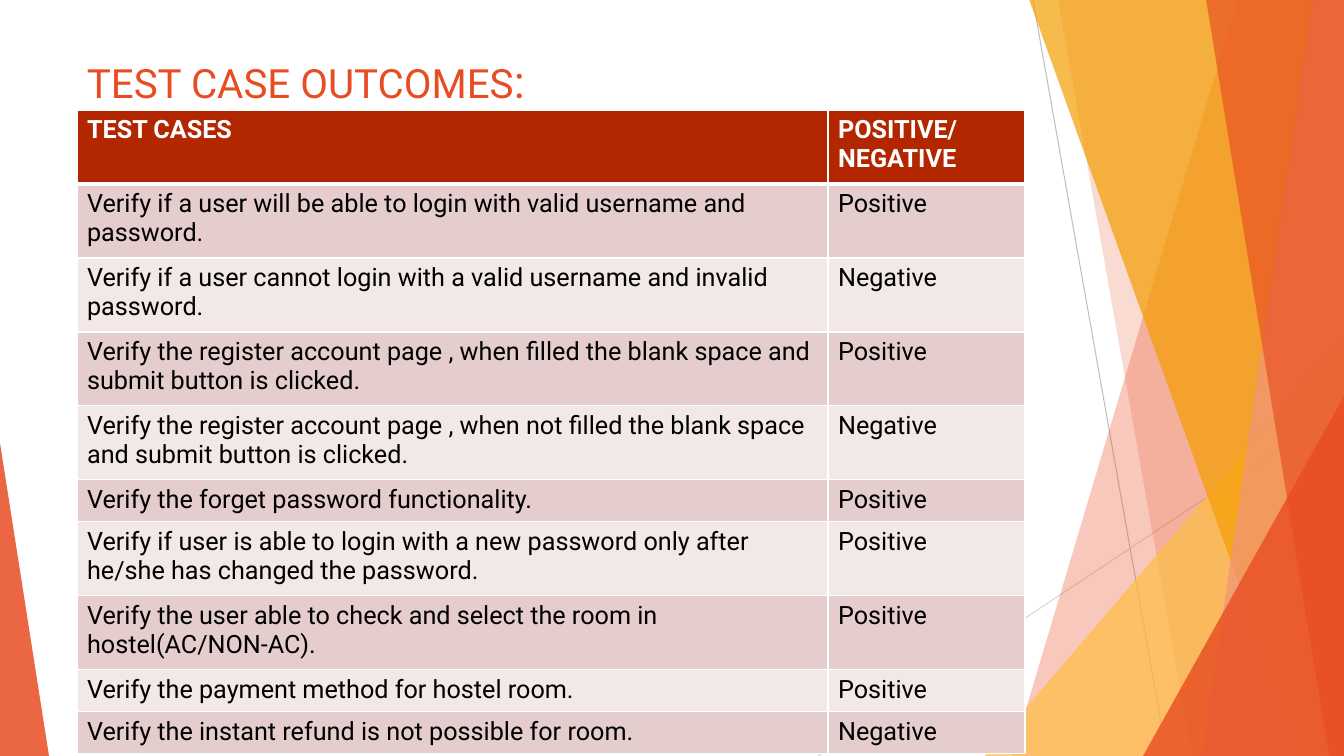
from lxml.etree import SubElement
from pptx import Presentation
from pptx.dml.color import RGBColor
from pptx.enum.shapes import MSO_CONNECTOR as Connector, MSO_SHAPE as Shape
from pptx.enum.text import MSO_ANCHOR as Anchor
from pptx.oxml.ns import qn
from pptx.util import Pt

SCALE = 914400 / 100.8
WIDTH, HEIGHT = 1344, 756
FONT = "Roboto"
ORANGE = "E84C22"
WHITE = "FFFFFF"
HEADER_FILL = "B22600"
BAND_FILLS = ("F2E8E7", "E4CDCC")
COLUMN_WIDTHS = (751, 197)
TALL_ROW, SHORT_ROW = 74, 42
LINES = [
    ((1033, 0), (1167, HEIGHT), "BFBFBF"),
    ((WIDTH, 406), (818, HEIGHT), "D9D9D9"),
]
BACK_BANDS = [(1238, 1012, ORANGE, 30), (1058, 1192, ORANGE, 20)]
FRONT_BANDS = [
    (1029, 1301, "F49D00", 70),
    (1313, 1202, "F1947A", 70),
    (1206, 1329, ORANGE, 65),
]
TEST_CASES = [
    ("Verify if a user will be able to login with valid username and password.", "Positive", TALL_ROW),
    ("Verify if a user cannot login with a valid username and invalid password.", "Negative", TALL_ROW),
    ("Verify the register account page , when filled the blank space and submit button is clicked.",
     "Positive", TALL_ROW),
    ("Verify the register account page , when not filled the blank space and submit button is clicked.",
     "Negative", TALL_ROW),
    ("Verify the forget password functionality.", "Positive", SHORT_ROW),
    ("Verify if user is able to login with a new password only after he/she has changed the password.",
     "Positive", TALL_ROW),
    ("Verify the user able to check and select the room in hostel(AC/NON-AC).", "Positive", TALL_ROW),
    ("Verify the payment method for hostel room.", "Positive", SHORT_ROW),
    ("Verify the instant refund is not possible for room.", "Negative", SHORT_ROW),
]


def px(length):
    """Turn pixels into EMU."""
    return round(length * SCALE)


def rgb(color):
    """Turn a hex string into a colour."""
    return RGBColor.from_string(color)


def style_span(span, size, color, bold=False):
    """Set the font of a run."""
    span.font.name = FONT
    span.font.size = Pt(size)
    span.font.bold = bold
    span.font.color.rgb = rgb(color)


def paint(shape, color, opacity):
    """Give a shape a translucent fill without outline or shadow."""
    shape.shadow.inherit = False
    shape.line.fill.background()
    shape.fill.solid()
    shape.fill.fore_color.rgb = rgb(color)
    tint = shape.fill._xPr.find(qn("a:solidFill"))[0]
    SubElement(tint, qn("a:alpha"), val=str(opacity * 1000))


def add_line(page, start, end, color):
    """Draw a thin straight line."""
    line = page.shapes.add_connector(Connector.STRAIGHT, *map(px, start + end))
    line.line.color.rgb = rgb(color)
    line.line.width = Pt(0.75)
    SubElement(line._element.spPr, qn("a:effectLst"))


def add_band(page, top_x, bottom_x, color, opacity):
    """Fill the area from a slanted edge to the right side of the page."""
    builder = page.shapes.build_freeform(px(top_x), px(-1))
    corners = [(WIDTH, -1), (WIDTH, HEIGHT), (bottom_x, HEIGHT)]
    builder.add_line_segments([(px(x), px(y)) for x, y in corners])
    paint(builder.convert_to_shape(), color, opacity)


def add_triangle(page, left, top, width, apex, color, opacity):
    """Draw a right triangle standing on the bottom of the page."""
    box = (left, top, width, HEIGHT - top)
    triangle = page.shapes.add_shape(Shape.ISOSCELES_TRIANGLE, *map(px, box))
    triangle.adjustments[0] = apex
    paint(triangle, color, opacity)


def add_title(page):
    """Write the heading with its larger colon."""
    box = page.shapes.add_textbox(px(77), px(44), px(948), px(58))
    frame = box.text_frame
    frame.word_wrap = True
    frame.vertical_anchor = Anchor.TOP
    frame.margin_top = px(9)
    para = frame.paragraphs[0]
    for text, size in (("TEST CASE OUTCOMES", 28.8), (":", 32.4)):
        span = para.add_run()
        span.text = text
        style_span(span, size, ORANGE)


def add_borders(cell, top, bottom):
    """Draw white borders around a cell."""
    properties = cell._tc.get_or_add_tcPr()
    for side, width in (("L", 1), ("R", 1), ("T", top), ("B", bottom)):
        border = SubElement(properties, qn(f"a:ln{side}"), w=str(Pt(width)))
        fill = SubElement(border, qn("a:solidFill"))
        SubElement(fill, qn("a:srgbClr"), val=WHITE)


def add_cases_table(page):
    """Build the table of test cases and outcomes."""
    rows = [("TEST CASES", "POSITIVE/NEGATIVE", TALL_ROW)] + TEST_CASES
    height = sum(row[-1] for row in rows)
    frame = page.shapes.add_table(
        len(rows), len(COLUMN_WIDTHS), px(77), px(110), px(sum(COLUMN_WIDTHS)), px(height))
    table = frame.table
    for column, width in zip(table.columns, COLUMN_WIDTHS):
        column.width = px(width)
    for index, (*texts, row_height) in enumerate(rows):
        table.rows[index].height = px(row_height)
        header = index == 0
        for cell, text in zip(table.rows[index].cells, texts):
            add_borders(cell, 3 if index == 1 else 1, 3 if header else 1)
            cell.fill.solid()
            cell.fill.fore_color.rgb = rgb(HEADER_FILL if header else BAND_FILLS[index % 2])
            cell.text_frame.text = text
            span = cell.text_frame.paragraphs[0].runs[0]
            style_span(span, 18, WHITE if header else "000000", header)


def main():
    """Build and save the slide."""
    deck = Presentation()
    deck.slide_width, deck.slide_height = px(WIDTH), px(HEIGHT)
    page = deck.slides.add_slide(deck.slide_layouts[6])
    for line in LINES:
        add_line(page, *line)
    for band in BACK_BANDS:
        add_band(page, *band)
    add_triangle(page, 985, 336, 359, 1, "FFBD47", 72)
    for band in FRONT_BANDS:
        add_band(page, *band)
    add_triangle(page, 1143, 396, 201, 1, ORANGE, 80)
    add_triangle(page, 0, 443, 49, 0, ORANGE, 85)
    add_title(page)
    add_cases_table(page)
    deck.save("out.pptx")


main()
